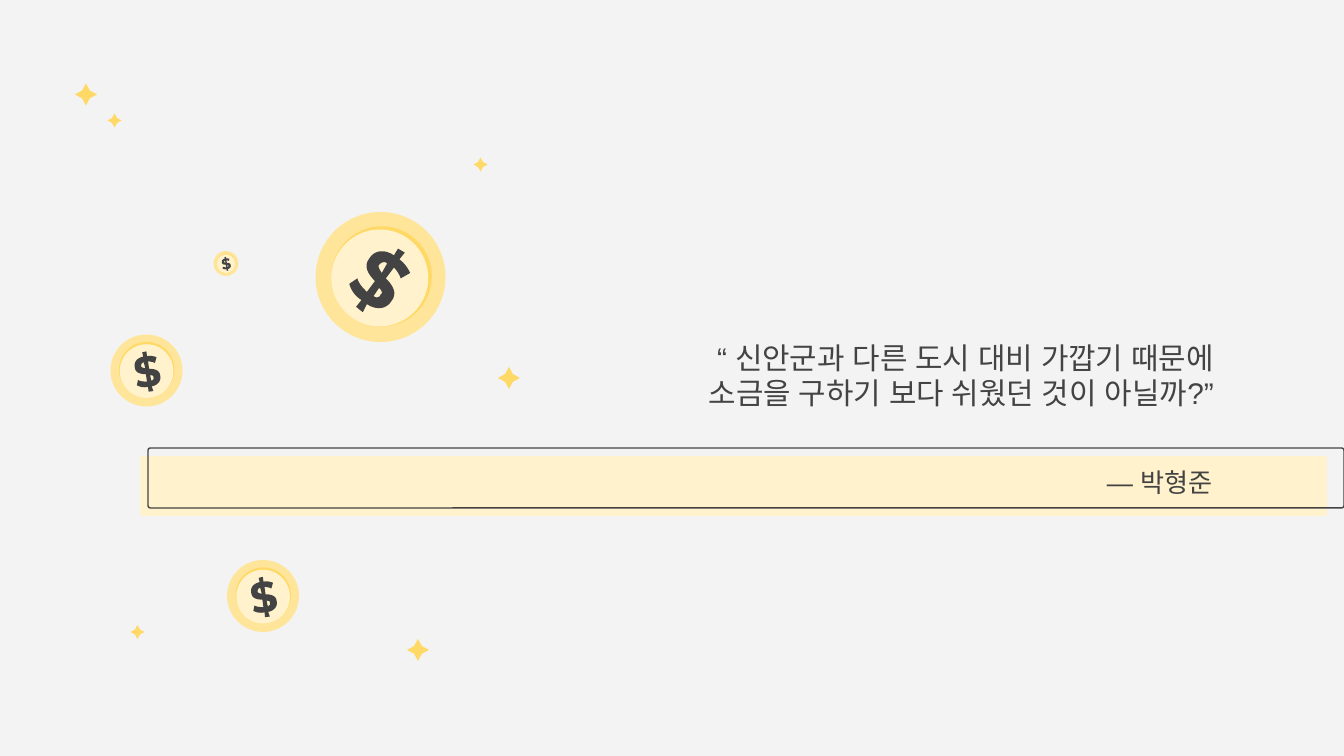
from math import cos, sin, radians
from pptx import Presentation
from pptx.dml.color import RGBColor as Rgb
from pptx.enum.shapes import MSO_SHAPE as Kind
from pptx.enum.text import MSO_ANCHOR as Anchor, MSO_AUTO_SIZE as Fit, PP_ALIGN as Align
from pptx.oxml.ns import qn
from pptx.util import Pt
from lxml.etree import SubElement

SCALE = 914400 / 134.4  # EMU in one px
WIDE, HIGH = 1344, 756

PAPER = Rgb(0xF3, 0xF3, 0xF3)
INK = Rgb(0x43, 0x43, 0x43)
CREAM = Rgb(0xFF, 0xF2, 0xCC)
SAND = Rgb(0xFF, 0xE5, 0x99)
GOLD = Rgb(0xFF, 0xD9, 0x66)

# Dollar sign around the coin centre, in 1/48 of the coin radius:
# pairs are corners, sixes are curves
DOLLAR = [
    [(13, -21), (10, -16), (7, -18, 4, -19, 1, -19), (-3, -19, -6, -17, -8, -14),
     (-13, -8, -9, -2, -4, 3), (-10, 11), (-13, 8, -16, 5, -17, 1), (-23, 5),
     (-22, 9, -19, 14, -14, 17), (-18, 22), (-13, 26), (-10, 20),
     (-7, 22, -4, 23, -1, 23), (3, 23, 6, 21, 8, 18), (13, 12, 9, 6, 4, 1),
     (10, -7), (12, -5, 14, -2, 15, 1), (22, -3), (20, -7, 18, -10, 14, -13),
     (18, -18)],
    [(3, -11), (3, -11, 4, -11, 5, -10), (1, -3), (-1, -6, -2, -8, -1, -9),
     (0, -10, 1, -11, 3, -11)],
    [(-1, 8), (1, 10, 2, 12, 0, 13), (0, 14, -1, 15, -3, 15),
     (-3, 15, -4, 15, -5, 14)],
]


def px(num):
    return round(num * SCALE)


def trace(path, steps=8):
    """Turn corners and curves into a list of points."""
    dots = [path[0]]
    for part in path[1:]:
        if len(part) == 2:
            dots.append(part)
            continue
        ends = [dots[-1], part[:2], part[2:4], part[4:]]
        for step in range(1, steps + 1):
            t = step / steps
            mix = ((1 - t) ** 3, 3 * t * (1 - t) ** 2, 3 * t * t * (1 - t), t ** 3)
            dots.append(tuple(sum(m * e[i] for m, e in zip(mix, ends))
                              for i in (0, 1)))
    return dots


def write(frame, text, size=14, color=INK, font="Arial", align=Align.RIGHT):
    para = frame.paragraphs[0]
    para.alignment = align
    para.line_spacing = 1.0
    para.space_before = para.space_after = Pt(0)
    run = para.add_run()
    run.text = text
    run.font.size = Pt(size)
    run.font.name = font
    run.font.color.rgb = color
    SubElement(run.font._element, qn("a:ea")).set("typeface", font)


class Deck:
    def __init__(self):
        self.file = Presentation()
        self.file.slide_width, self.file.slide_height = px(WIDE), px(HIGH)
        self.page = self.file.slides.add_slide(self.file.slide_layouts[0])
        back = self.page.background.fill
        back.solid()
        back.fore_color.rgb = PAPER

    def paint(self, item, fill=None, line=None):
        item.shadow.inherit = False
        if fill is None:
            item.fill.background()
        else:
            item.fill.solid()
            item.fill.fore_color.rgb = fill
        if line is None:
            item.line.fill.background()
        else:
            item.line.color.rgb = line
            item.line.width = Pt(0.75)

    def shape(self, kind, x, y, w, h, adj=None, **look):
        item = self.page.shapes.add_shape(kind, px(x), px(y), px(w), px(h))
        if adj is not None:
            item.adjustments[0] = adj
        self.paint(item, **look)

    def disc(self, x, y, r, fill):
        self.shape(Kind.OVAL, x - r, y - r, 2 * r, 2 * r, fill=fill)

    def star(self, x, y, r):
        self.shape(Kind.STAR_4_POINT, x - r, y - r, 2 * r, 2 * r,
                   adj=0.25, fill=GOLD)

    def coin(self, x, y, r, turn=0):
        c, s = cos(radians(turn)), sin(radians(turn))

        def place(a, b):
            return x + r * (a * c - b * s), y + r * (a * s + b * c)

        # Rim, glint and face
        self.disc(x, y, r, SAND)
        self.disc(*place(0.02, -0.01), 0.77 * r, GOLD)
        self.disc(*place(-0.01, 0.015), 0.745 * r, CREAM)
        # Sign
        rings = [[tuple(map(px, place(a / 48, b / 48))) for a, b in trace(path)]
                 for path in DOLLAR]
        pen = self.page.shapes.build_freeform(*rings[0][0])
        pen.add_line_segments(rings[0][1:])
        for ring in rings[1:]:
            pen.move_to(*ring[0])
            pen.add_line_segments(ring[1:])
        self.paint(pen.convert_to_shape(), fill=INK)

    def text(self, slot, x, y, w, h, words, anchor, **look):
        item = self.page.placeholders[slot]
        item.left, item.top, item.width, item.height = map(px, (x, y, w, h))
        item.element.getparent().append(item.element)  # bring to front
        frame = item.text_frame
        frame.word_wrap = True
        frame.auto_size = Fit.NONE
        frame.vertical_anchor = anchor
        frame.margin_left = frame.margin_right = px(13)
        frame.margin_top = frame.margin_bottom = px(13)
        write(frame, words, **look)


def main():
    deck = Deck()

    # Band with offset frame
    deck.shape(Kind.ROUNDED_RECTANGLE, 140, 456, 1187, 60, adj=0.04, fill=CREAM)
    deck.shape(Kind.ROUNDED_RECTANGLE, 148, 448, 1196, 60, adj=0.04, line=INK)

    # Quote and author
    deck.text(1, 618, 276, 609, 148,
              "“ 신안군과 다른 도시 대비 가깝기 때문에 소금을 구하기 보다 쉬웠던 것이 아닐까?”",
              Anchor.BOTTOM, size=16)
    deck.text(0, 531, 448, 695, 68, "— 박형준", Anchor.MIDDLE)

    # Coins
    deck.coin(380.5, 277, 65)
    for x, y, r in ((146.5, 370.5, 36), (226, 263.5, 12.5), (263, 596, 36)):
        deck.coin(x, y, r, turn=-45)

    # Sparkles
    for x, y in ((509, 378), (418, 650), (86, 94.5)):
        deck.star(x, y, 11)
    for x, y in ((480.5, 164.5), (137.5, 632), (114.5, 120.5)):
        deck.star(x, y, 7)

    deck.file.save("out.pptx")


if __name__ == "__main__":
    main()
